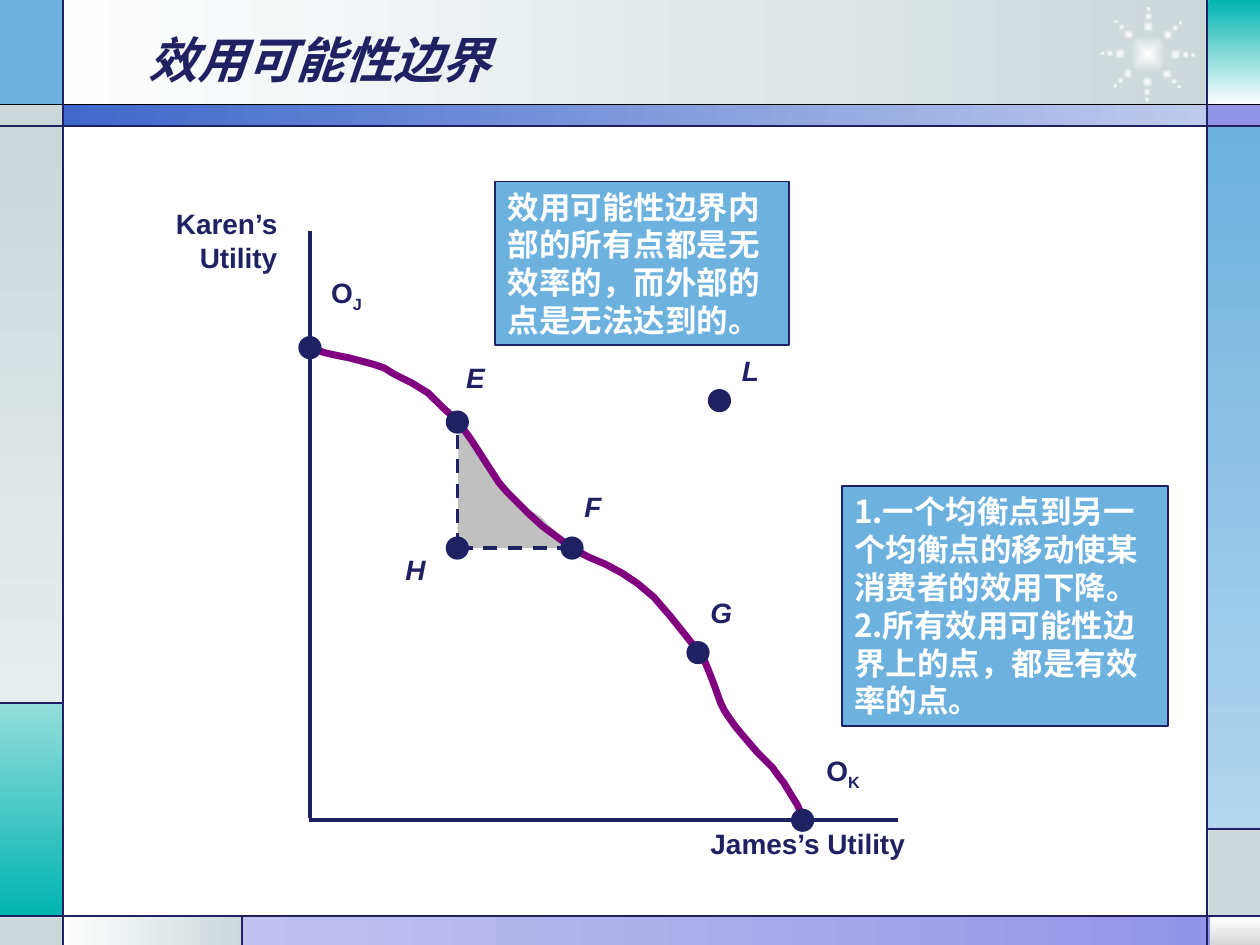
import math
from dataclasses import dataclass
from typing import Optional, Sequence

import pptx
import pptx.dml.color
import pptx.enum.dml
import pptx.enum.shapes
import pptx.enum.text
import pptx.oxml
import pptx.oxml.ns
import pptx.util

SHAPES = pptx.enum.shapes.MSO_SHAPE
ALIGN = pptx.enum.text.PP_ALIGN
Point = tuple[float, float]


@dataclass(frozen=True)
class Theme:
    ink: str = "1F2163"
    black: str = "000000"
    white: str = "FFFFFF"
    pearl: str = "FEFEFE"
    mist: str = "CCD8DA"
    pale_mist: str = "E8EDEE"
    sky: str = "6DB1DF"
    pale_sky: str = "B3D6ED"
    teal: str = "00B4B0"
    pale_teal: str = "92DEDC"
    violet: str = "9292E6"
    pale_violet: str = "C2C2F0"
    royal: str = "4067CA"
    pale_royal: str = "BECBEC"
    silver: str = "D7D7D7"
    region: str = "C0C0C0"
    frontier: str = "800080"
    latin: str = "Arial"
    chinese: str = "Noto Sans CJK SC"
    title_size: int = 28
    note_size: int = 18
    label_size: int = 16


@dataclass(frozen=True)
class Panel:
    """Frame panel; a second colour makes a gradient (angle clockwise)."""
    box: tuple[float, float, float, float]
    color: str
    end_color: Optional[str] = None
    angle: int = 90


@dataclass(frozen=True)
class Label:
    box: tuple[float, float, float, float]
    lines: Sequence[str]
    subscript: str = ""
    italic: bool = False
    align: ALIGN = ALIGN.LEFT


@dataclass(frozen=True)
class Note:
    box: tuple[float, float, float, float]
    paragraphs: Sequence[str]


THEME = Theme()
T = THEME
UNIT = 2.54  # centimetres per layout unit: the slide is 10 units wide
DOT = 0.17

PANELS = [
    Panel((0.5, 0, 9.27, 0.84), T.mist, T.pearl, 180),
    Panel((0, 0, 0.5, 0.84), T.sky),
    Panel((0, 0.83, 0.5, 0.17), T.mist),
    Panel((0, 1, 0.5, 4.58), T.mist, T.pale_mist),
    Panel((0, 5.58, 0.5, 1.69), T.pale_teal, T.teal),
    Panel((0, 7.28, 0.5, 0.22), T.mist),
    Panel((0.5, 7.27, 1.43, 0.23), T.mist, T.pearl, 180),
    Panel((1.92, 7.27, 8.08, 0.23), T.violet, T.pale_violet, 180),
    Panel((9.6, 7.28, 0.4, 0.22), T.white, T.silver),
    Panel((9.59, 6.58, 0.41, 0.7), T.mist),
    Panel((9.58, 1, 0.42, 5.58), T.sky, T.pale_sky),
    Panel((9.58, 0.83, 0.42, 0.17), T.violet),
    Panel((9.59, 0, 0.41, 0.83), T.teal, T.pearl),
    Panel((0.5, 0.83, 9.09, 0.17), T.pale_royal, T.royal, 180),
]
FRAME_LINES = [
    ((0, 1), (10, 1)), ((0, 7.27), (10, 7.27)), ((0.5, 0), (0.5, 7.5)),
    ((9.58, 0), (9.58, 7.5)), ((0.5, 5.58), (0, 5.58)),
    ((1.92, 7.27), (1.92, 7.5)), ((9.58, 6.58), (10, 6.58)),
]
REGION = [(3.64, 3.37), (3.63, 4.35), (4.54, 4.35), (4.29, 4.1), (3.99, 3.91), (3.83, 3.59)]
FRONTIER = [
    (2.45, 2.77), (2.52, 2.78), (2.58, 2.8), (2.67, 2.82), (2.77, 2.84), (2.96, 2.89),
    (3.05, 2.92), (3.13, 2.97), (3.27, 3.04), (3.4, 3.12), (3.51, 3.23), (3.63, 3.34),
    (3.69, 3.42), (3.74, 3.49), (3.85, 3.66), (3.96, 3.83), (4.02, 3.9), (4.09, 3.97),
    (4.2, 4.08), (4.31, 4.18), (4.42, 4.26), (4.54, 4.35), (4.67, 4.42), (4.81, 4.48),
    (4.94, 4.55), (5.06, 4.63), (5.19, 4.74), (5.32, 4.89), (5.44, 5.04), (5.55, 5.18),
    (5.59, 5.24), (5.62, 5.31), (5.67, 5.44), (5.72, 5.58), (5.75, 5.64), (5.79, 5.7),
    (5.84, 5.77), (5.89, 5.83), (6.01, 5.97), (6.13, 6.09), (6.18, 6.16), (6.22, 6.21),
    (6.28, 6.31), (6.33, 6.39), (6.36, 6.46), (6.38, 6.52),
]
ALLOCATIONS = [(3.63, 4.35), (4.54, 4.35), (2.46, 2.76), (3.63, 3.35),
               (5.54, 5.18), (6.37, 6.51), (5.71, 3.18)]
LABELS = [
    Label((3.12, 4.34, 0.36, 0.36), ["H"], italic=True),
    Label((5.54, 6.51, 1.75, 0.36), ["James’s Utility"]),
    Label((2.53, 2.14, 0.52, 0.4), ["O"], "J"),
    Label((6.46, 5.93, 0.52, 0.4), ["O"], "K"),
    Label((3.6, 2.81, 0.35, 0.36), ["E"], italic=True),
    Label((4.54, 3.84, 0.33, 0.36), ["F"], italic=True),
    Label((5.54, 4.68, 0.37, 0.36), ["G"], italic=True),
    Label((1.29, 1.59, 1.01, 0.63), ["Karen’s", "Utility"], align=ALIGN.RIGHT),
    Label((5.79, 2.76, 0.33, 0.36), ["L"], italic=True),
]
NOTES = [
    Note((6.68, 3.86, 2.59, 1.9), ["1.一个均衡点到另一个均衡点的移动使某消费者的效用下降。",
                                   "2.所有效用可能性边界上的点，都是有效率的点。"]),
    Note((3.93, 1.44, 2.33, 1.3), ["效用可能性边界内部的所有点都是无效率的，而外部的点是无法达到的。"]),
]


def lengths(values: Sequence[float]) -> list[pptx.util.Length]:
    return [pptx.util.Cm(value * UNIT) for value in values]


def rgb(color: str) -> pptx.dml.color.RGBColor:
    return pptx.dml.color.RGBColor.from_string(color)


def set_fill(shape, color: str, end_color: Optional[str] = None, angle: int = 0) -> None:
    if end_color is None:
        shape.fill.solid()
        shape.fill.fore_color.rgb = rgb(color)
        return
    shape.fill.gradient()
    shape.fill.gradient_angle = -angle % 360
    for stop, stop_color in zip(shape.fill.gradient_stops, (color, end_color)):
        stop.color.rgb = rgb(stop_color)


def set_line(shape, color: str, width: float) -> None:
    shape.line.color.rgb = rgb(color)
    shape.line.width = pptx.util.Pt(width)


def add_block(slide, kind, box: Sequence[float]):
    shape = slide.shapes.add_shape(kind, *lengths(box))
    shape.shadow.inherit = False
    shape.line.fill.background()
    return shape


def add_line(slide, start: Point, end: Point, color: str, width: float, dashed: bool = False) -> None:
    line = slide.shapes.add_connector(pptx.enum.shapes.MSO_CONNECTOR.STRAIGHT, *lengths(start + end))
    set_line(line, color, width)
    if dashed:
        line.line.dash_style = pptx.enum.dml.MSO_LINE.DASH
    line._element.spPr.append(pptx.oxml.parse_xml(f'<a:effectLst {pptx.oxml.ns.nsdecls("a")}/>'))


def add_outline(slide, points: Sequence[Point], closed: bool):
    start, *others = [tuple(lengths(point)) for point in points]
    builder = slide.shapes.build_freeform(*start)
    builder.add_line_segments(others, close=closed)
    outline = builder.convert_to_shape()
    outline.shadow.inherit = False
    return outline


def add_run(paragraph, text: str, font_name: str, size: int, color: str, italic: bool = False):
    run = paragraph.add_run()
    run.text = text
    run.font.name, run.font.size = font_name, pptx.util.Pt(size)
    run.font.bold, run.font.italic = True, italic
    run.font.color.rgb = rgb(color)
    run.font._element.find(pptx.oxml.ns.qn("a:latin")).addnext(pptx.oxml.parse_xml(
        f'<a:ea {pptx.oxml.ns.nsdecls("a")} typeface="{THEME.chinese}"/>'))
    return run


def add_paragraphs(frame, lines: Sequence[str], align: ALIGN, *style) -> None:
    for index, text in enumerate(lines):
        paragraph = frame.add_paragraph() if index else frame.paragraphs[0]
        paragraph.alignment = align
        add_run(paragraph, text, *style)


def add_star_dot(slide, center: Point, size: Point, rotation: float) -> None:
    dot = add_block(slide, SHAPES.OVAL, [c - s / 2 for c, s in zip(center, size)] + list(size))
    dot.rotation = rotation
    set_fill(dot, THEME.pearl, THEME.mist)
    linear = dot._element.spPr.find(".//" + pptx.oxml.ns.qn("a:lin"))
    linear.getparent().replace(linear, pptx.oxml.parse_xml(
        f'<a:path {pptx.oxml.ns.nsdecls("a")} path="rect">'
        '<a:fillToRect l="50000" t="50000" r="50000" b="50000"/></a:path>'))


def add_star(slide, center: Point = (9.11, 0.43)) -> None:
    add_star_dot(slide, center, (0.3, 0.3), 2.5)
    for arm in range(8):
        angle = 45 * arm + 1
        direction = math.cos(math.radians(angle)), math.sin(math.radians(angle))
        for radius, size in ((0.3, (0.05, 0.05)), (0.36, (0.04, 0.03)), (0.22, (0.08, 0.07))):
            spot = tuple(c + radius * d for c, d in zip(center, direction))
            add_star_dot(slide, spot, size, (angle - 37) % 360)


def add_label(slide, label: Label) -> None:
    frame = slide.shapes.add_textbox(*lengths(label.box)).text_frame
    # Subscripted labels have a box with room to spare, so they keep its width
    frame.word_wrap = bool(label.subscript)
    frame.auto_size = pptx.enum.text.MSO_AUTO_SIZE.SHAPE_TO_FIT_TEXT
    style = THEME.latin, THEME.label_size, THEME.ink, label.italic
    add_paragraphs(frame, label.lines, label.align, *style)
    if label.subscript:
        run = add_run(frame.paragraphs[0], label.subscript, *style)
        run.font._element.set("baseline", "-25000")


def add_note(slide, note: Note) -> None:
    card = add_block(slide, SHAPES.RECTANGLE, note.box)
    set_fill(card, THEME.sky)
    set_line(card, THEME.ink, 1)
    card.text_frame.word_wrap = True
    card.text_frame.vertical_anchor = pptx.enum.text.MSO_ANCHOR.TOP
    add_paragraphs(card.text_frame, note.paragraphs, ALIGN.LEFT,
                   THEME.chinese, THEME.note_size, THEME.white)


def main() -> None:
    deck = pptx.Presentation()
    deck.slide_width, deck.slide_height = lengths((10, 7.5))
    slide = deck.slides.add_slide(deck.slide_layouts[6])

    # Decorative frame
    for panel in PANELS:
        set_fill(add_block(slide, SHAPES.RECTANGLE, panel.box), panel.color, panel.end_color, panel.angle)
    add_star(slide)
    add_line(slide, (0, 0.83), (10, 0.83), THEME.black, 0.75)
    for start, end in FRAME_LINES:
        add_line(slide, start, end, THEME.ink, 0.75)

    # Title
    title = slide.shapes.add_textbox(*lengths((1.08, 0.13, 7.33, 0.62))).text_frame
    title.word_wrap = True
    title.vertical_anchor = pptx.enum.text.MSO_ANCHOR.BOTTOM
    add_paragraphs(title, ["效用可能性边界"], ALIGN.LEFT, THEME.chinese, THEME.title_size, THEME.ink, True)

    # Region of mutual gains, frontier and axes
    region = add_outline(slide, REGION, True)
    set_fill(region, THEME.region)
    region.line.fill.background()
    add_line(slide, (3.63, 3.45), (3.63, 4.33), THEME.ink, 2, dashed=True)
    add_line(slide, (3.64, 4.35), (4.53, 4.35), THEME.ink, 2, dashed=True)
    frontier = add_outline(slide, FRONTIER, False)
    frontier.fill.background()
    set_line(frontier, THEME.frontier, 4)
    add_line(slide, (2.46, 1.83), (2.46, 6.49), THEME.ink, 2)
    add_line(slide, (2.45, 6.51), (7.13, 6.51), THEME.ink, 2)

    # Allocations, labels and notes
    for x, y in ALLOCATIONS:
        allocation = add_block(slide, SHAPES.OVAL, (x - DOT / 2, y - DOT / 2, DOT, DOT))
        set_fill(allocation, THEME.ink)
        set_line(allocation, THEME.ink, 1)
    for label in LABELS:
        add_label(slide, label)
    for note in NOTES:
        add_note(slide, note)

    deck.save("out.pptx")


if __name__ == "__main__":
    main()
